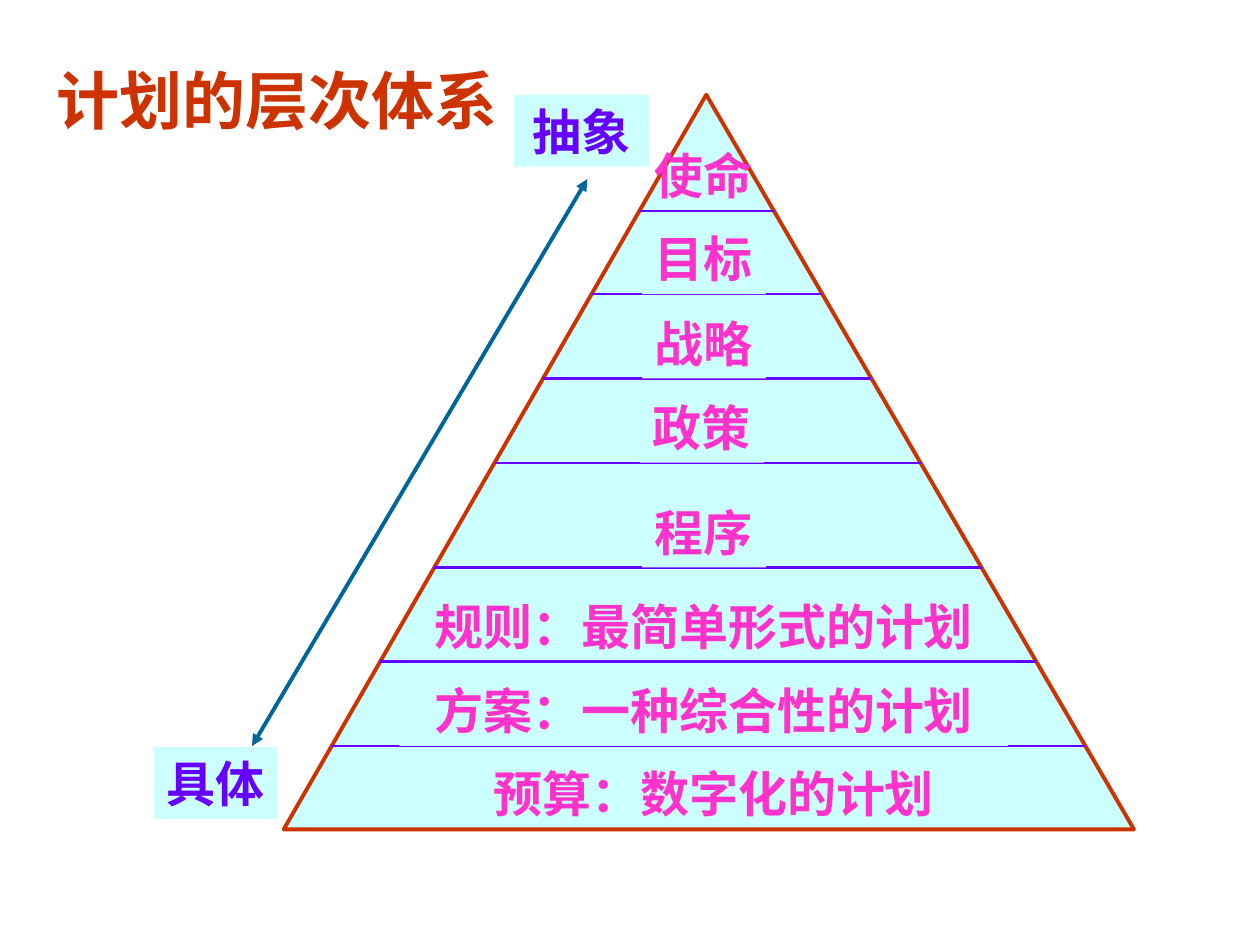
from dataclasses import dataclass

from lxml.etree import SubElement
from pptx import Presentation
from pptx.dml.color import RGBColor
from pptx.enum.shapes import MSO_CONNECTOR as CONN, MSO_SHAPE as SHAPE
from pptx.enum.text import MSO_ANCHOR as ANCHOR, MSO_AUTO_SIZE as AUTO, PP_ALIGN as ALIGN
from pptx.oxml.ns import qn
from pptx.util import Cm, Pt


@dataclass(frozen=True)
class Theme:
    title: str = "CC3300"
    panel: str = "CCFFFF"
    accent: str = "6600FF"
    level: str = "FF33CC"
    arrow: str = "006699"
    title_font: str = "Arial"
    label_font: str = "Times New Roman"
    title_size: int = 36
    label_size: int = 28
    outline: float = 2.25
    divider: float = 1.5


T = Theme()
LABEL_H = 1.45
APEX = 0.497
LEVELS = [
    ("使命", 2.34, 2.54, 0, False),
    ("目标", 4.02, 2.5, 0, True),
    ("战略", 5.72, 2.5, 0, True),
    ("政策", 7.42, 2.5, -0.04, True),
    ("程序", 9.53, 2.5, 0, True),
    ("规则：最简单形式的计划", 11.43, 12.27, 0, False),
    ("方案：一种综合性的计划", 13.13, 12.27, 0, True),
    ("预算：数字化的计划", 14.81, 12.27, 0.2, False),
]


def rgb(code):
    return RGBColor.from_string(code)


def add_run(p, text, font, size, color):
    r = p.add_run()
    r.text = text
    r.font.name = font
    r.font.size = Pt(size)
    r.font.bold = True
    r.font.color.rgb = rgb(color)


def add_line(shapes, start, end, color, width, arrows=False):
    cx = shapes.add_connector(CONN.STRAIGHT, *map(Cm, start + end))
    cx.line.color.rgb = rgb(color)
    cx.line.width = Pt(width)
    if arrows:
        ln = cx.line._get_or_add_ln()
        for tag in ("a:headEnd", "a:tailEnd"):
            SubElement(ln, qn(tag), type="triangle")
    SubElement(cx._element.spPr, qn("a:effectLst"))


def add_label(s, text, x, y, w, color, filled=True):
    box = [Cm(v) for v in (x, y, w, LABEL_H)]
    if filled:
        sp = s.shapes.add_shape(SHAPE.RECTANGLE, *box)
        sp.shadow.inherit = False
        sp.fill.solid()
        sp.fill.fore_color.rgb = rgb(T.panel)
        sp.line.fill.background()
    else:
        sp = s.shapes.add_textbox(*box)
    tf = sp.text_frame
    tf.word_wrap = False
    tf.auto_size = AUTO.NONE
    tf.vertical_anchor = ANCHOR.MIDDLE
    p = tf.paragraphs[0]
    p.alignment = ALIGN.CENTER
    add_run(p, text, T.label_font, T.label_size, color)


def add_heading(s, x, y, w, h):
    s.shapes.title.element.getparent().remove(s.shapes.title.element)
    sp = s.placeholders[1]
    sp.left, sp.top, sp.width, sp.height = map(Cm, (x, y, w, h))
    tf = sp.text_frame
    tf.auto_size = AUTO.NONE
    tf.vertical_anchor = ANCHOR.TOP
    p = tf.paragraphs[0]
    pPr = p._p.get_or_add_pPr()
    pPr.set("marL", "0")
    pPr.set("indent", "0")
    SubElement(pPr, qn("a:buNone"))
    p.space_before = Pt(0)
    add_run(p, "计划的层次体系", T.title_font, T.title_size, T.title)


def add_pyramid(s, x, y, w, h):
    shapes = s.shapes.add_group_shape().shapes
    sp = shapes.add_shape(SHAPE.ISOSCELES_TRIANGLE, Cm(x), Cm(y), Cm(w), Cm(h))
    sp.adjustments[0] = APEX
    sp.shadow.inherit = False
    sp.fill.solid()
    sp.fill.fore_color.rgb = rgb(T.panel)
    sp.line.color.rgb = rgb(T.title)
    sp.line.width = Pt(T.outline)

    mid = x + APEX * w
    for _, bottom, *_ in LEVELS[:-1]:
        t = bottom / h
        left, right = mid - APEX * w * t, mid + (1 - APEX) * w * t
        add_line(shapes, (left, y + bottom), (right, y + bottom), T.accent, T.divider)
    for text, bottom, width, shift, filled in LEVELS:
        add_label(s, text, mid - 0.05 + shift - width / 2, y + bottom - LABEL_H,
                  width, T.level, filled)


def add_scale(s, x, y, w, h):
    add_line(s.shapes, (x + 8.74, y + 1.7), (x + 1.98, y + 13.13), T.arrow, T.outline, True)
    add_label(s, "抽象", x + w - 2.74, y, 2.74, T.accent)
    add_label(s, "具体", x, y + h - LABEL_H, 2.5, T.accent)


def main():
    prs = Presentation()
    prs.slide_width, prs.slide_height = Cm(25.4), Cm(19.05)
    s = prs.slides.add_slide(prs.slide_layouts[1])
    add_heading(s, 0.89, 1.12, 22.6, 17)
    add_pyramid(s, 5.72, 1.91, 17.14, 14.81)
    add_scale(s, 3.1, 1.91, 10, 14.6)
    prs.save("out.pptx")


if __name__ == "__main__":
    main()
